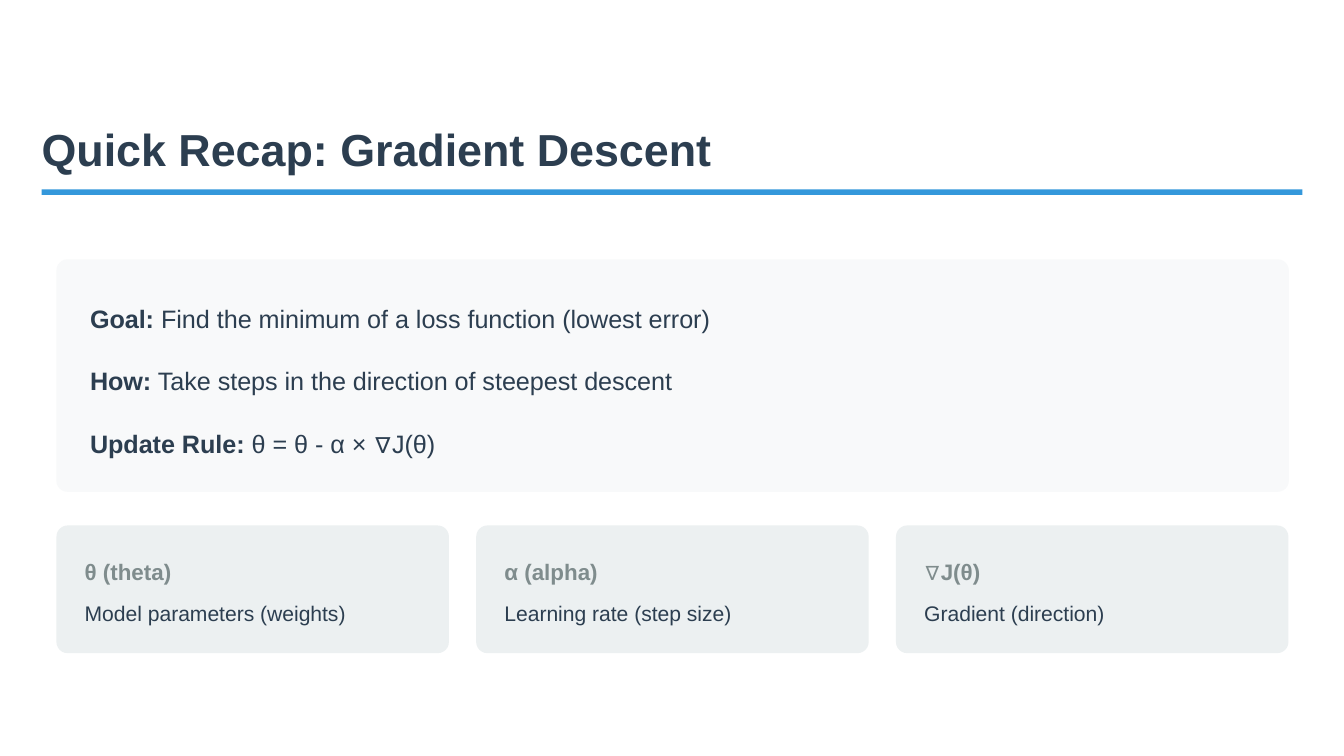
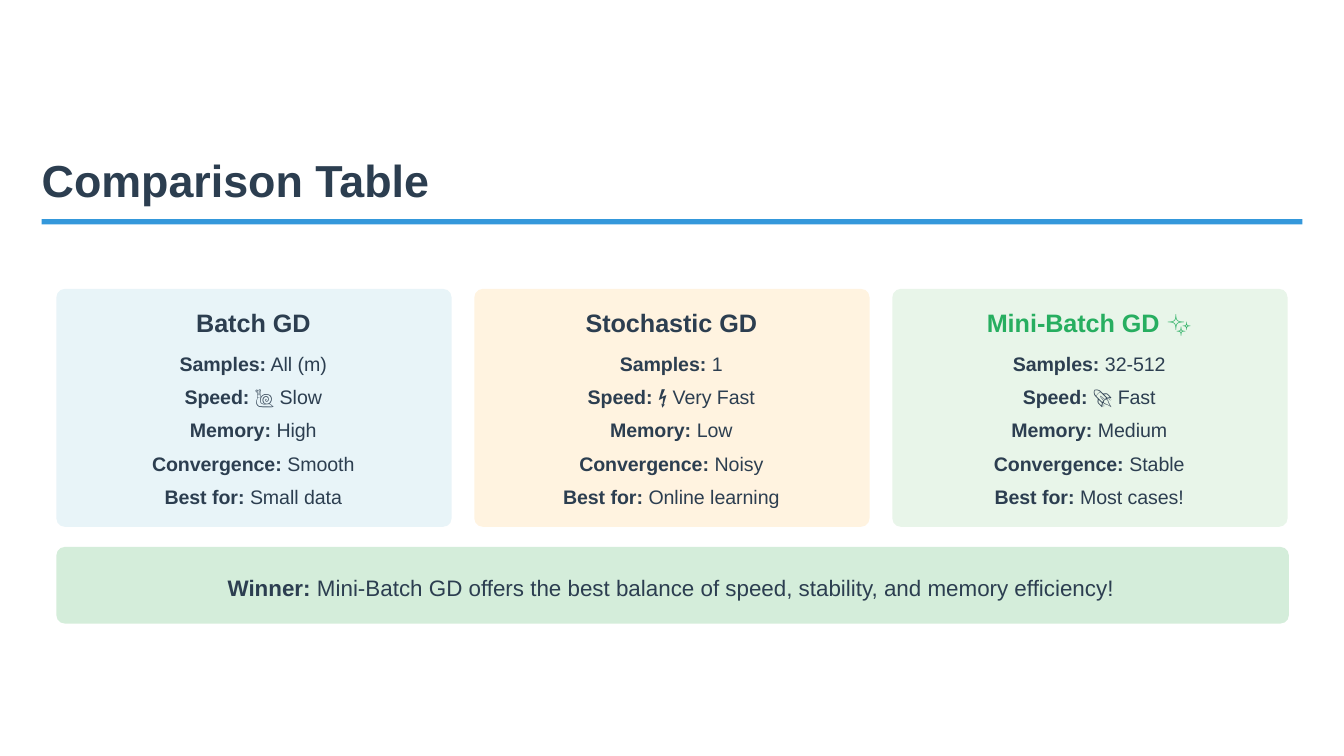
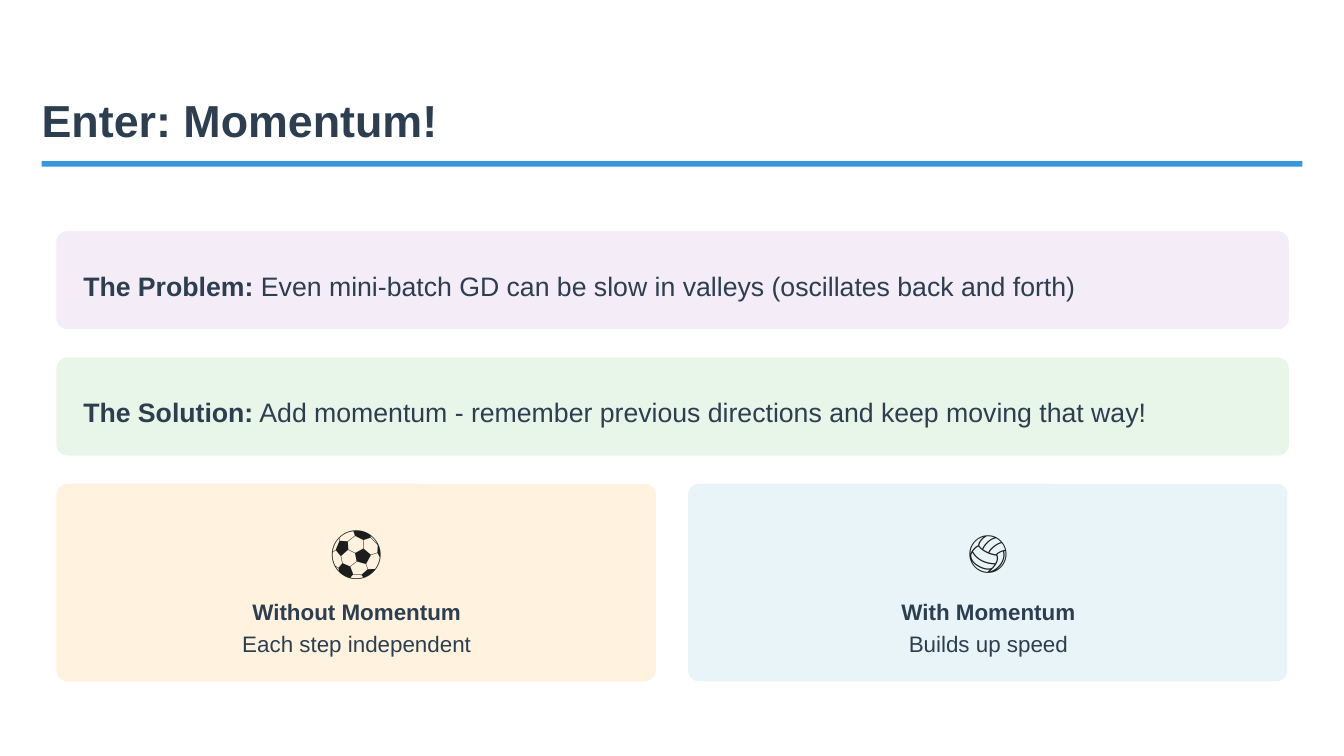
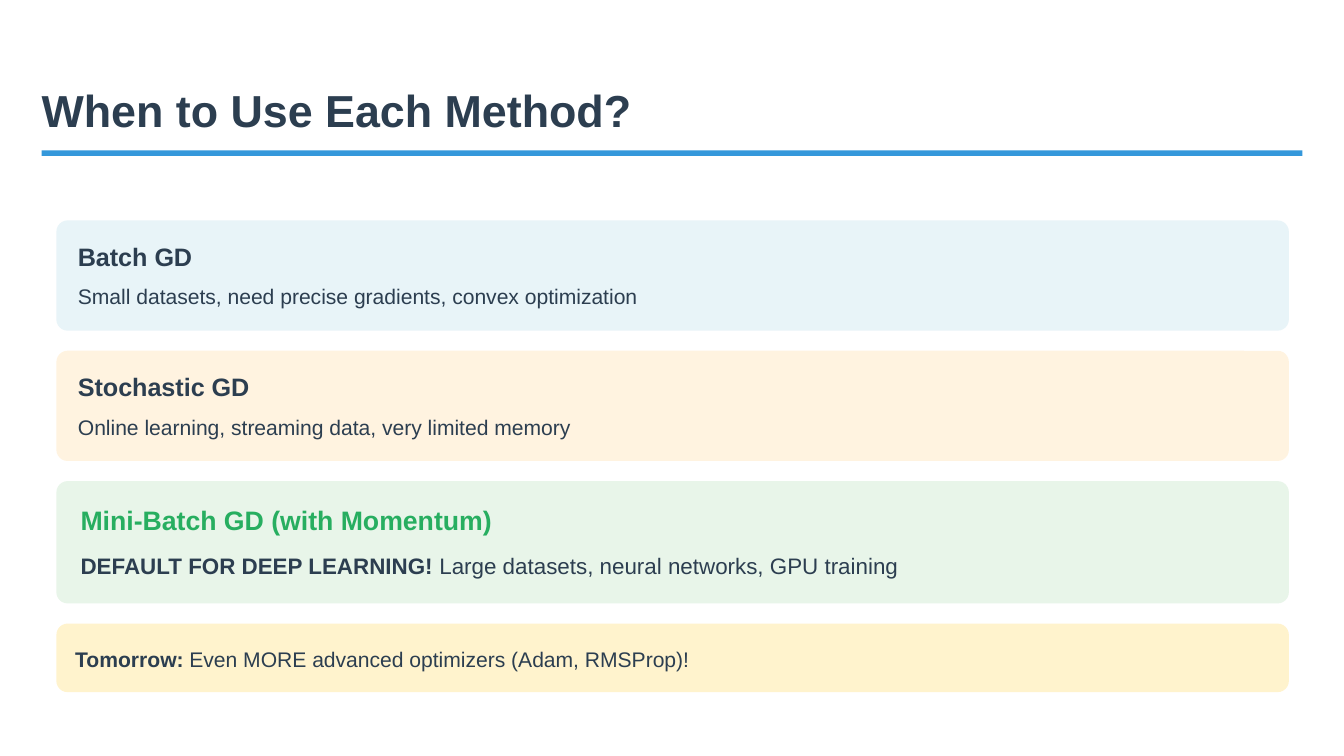
import pptx
import pptx.dml.color
import pptx.enum.shapes
import pptx.enum.text
import pptx.oxml
import pptx.util
from pptx.util import Inches, Pt

INK, GREEN, GREY, BLACK = "2C3E50", "27AE60", "7F8C8D", "1D1D1D"
RULE_BLUE = "3498DB"
PALE_BLUE, PALE_ORANGE, PALE_GREEN = "E8F4F8", "FFF3E0", "E8F5E9"
LEFT, CONTENT_WIDTH = 0.42, 9.17
ALIGN_LEFT = pptx.enum.text.PP_ALIGN.LEFT
ALIGN_CENTER = pptx.enum.text.PP_ALIGN.CENTER


def add_panel(slide, left, top, width, height, colour, radius=6):
    """Add a borderless filled panel; radius is the corner in points, 0 for square."""
    kinds = pptx.enum.shapes.MSO_SHAPE
    panel = slide.shapes.add_shape(
        kinds.ROUNDED_RECTANGLE if radius else kinds.RECTANGLE,
        Inches(left), Inches(top), Inches(width), Inches(height))
    if radius:
        panel.adjustments[0] = Pt(radius) / min(panel.width, panel.height)
    panel.shadow.inherit = False
    panel.fill.solid()
    panel.fill.fore_color.rgb = pptx.dml.color.RGBColor.from_string(colour)
    panel.line.fill.background()
    return panel


def write(shape, box, lines, alignment=ALIGN_LEFT):
    """Place a text shape and fill it.

    Each line is (bold text, regular text, size, line height, space after, colour).
    """
    shape.left, shape.top, shape.width, shape.height = map(Inches, box)
    frame = shape.text_frame
    frame.margin_left = frame.margin_top = frame.margin_right = frame.margin_bottom = 0
    frame.word_wrap = True
    frame.auto_size = pptx.enum.text.MSO_AUTO_SIZE.NONE
    frame.vertical_anchor = pptx.enum.text.MSO_ANCHOR.TOP
    for index, (strong, plain, size, height, after, colour) in enumerate(lines):
        paragraph = frame.add_paragraph() if index else frame.paragraphs[0]
        paragraph.alignment = alignment
        paragraph.line_spacing = Pt(height)
        paragraph.space_before = Pt(0)
        paragraph.space_after = Pt(after)
        for text, bold in ((strong, True), (plain, False)):
            if text:
                run = paragraph.add_run()
                run.text = text
                run.font.name = "Arial"
                run.font.size = Pt(size)
                run.font.bold = bold
                run.font.color.rgb = pptx.dml.color.RGBColor.from_string(colour)


presentation = pptx.Presentation()
presentation.slide_width = Inches(10)
presentation.slide_height = presentation.slide_width * 9 // 16
TITLE_AND_CONTENT, TITLE_ONLY = 1, 5

# Titles and the blue rule below them
slides = []
for title, top, rule_top, layout in (
    ("Quick Recap: Gradient Descent", 0.97, 1.41, TITLE_AND_CONTENT),
    ("Comparison Table", 1.2, 1.63, TITLE_ONLY),
    ("Enter: Momentum!", 0.76, 1.2, TITLE_ONLY),
    ("When to Use Each Method?", 0.68, 1.12, TITLE_ONLY),
):
    slide = presentation.slides.add_slide(presentation.slide_layouts[layout])
    write(slide.shapes.title, (0.31, top, 5.09, 0.33), [(title, "", 24, 24, 7.5, INK)])
    add_panel(slide, 0.31, rule_top, 9.38, 0.04, RULE_BLUE, radius=0)
    slides.append(slide)
recap, comparison, momentum, usage = slides

# Slide 1: recap
statement_panel = add_panel(recap, LEFT, 1.93, CONTENT_WIDTH, 1.73, "F8F9FA")
statements = recap.placeholders[1]
write(statements, (0.67, 2.18, 8.84, 1.23), [
    (label, text, 13.5, 21.6, 12, INK) for label, text in (
        ("Goal:", " Find the minimum of a loss function (lowest error)"),
        ("How:", " Take steps in the direction of steepest descent"),
        ("Update Rule:", " θ = θ - α × ∇J(θ)"),
    )
])
for paragraph in statements.text_frame.paragraphs:
    properties = paragraph._p.get_or_add_pPr()
    properties.set("marL", "0")
    properties.set("indent", "0")
    properties.append(pptx.oxml.parse_xml(
        '<a:buNone xmlns:a="http://schemas.openxmlformats.org/drawingml/2006/main"/>'))
statement_panel._element.addnext(statements._element)

symbol_pitch = (CONTENT_WIDTH + 0.2) / 3
for column, (symbol, meaning) in enumerate((
    ("θ (theta)", "Model parameters (weights)"),
    ("α (alpha)", "Learning rate (step size)"),
    ("∇J(θ)", "Gradient (direction)"),
)):
    left = LEFT + column * symbol_pitch
    add_panel(recap, left, 3.91, 2.92, 0.95, "ECF0F1")
    write(recap.shapes.add_textbox(0, 0, 0, 0), (left + 0.21, 4.12, 2.55, 0.54), [
        (symbol, "", 12, 16.8, 6, GREY),
        ("", meaning, 11.25, 15.75, 0, INK),
    ])

# Slide 2: comparison
criteria = ("Samples:", "Speed:", "Memory:", "Convergence:", "Best for:")
for column, (method, heading_colour, fill, values) in enumerate((
    ("Batch GD", INK, PALE_BLUE,
     ("All (m)", "🐌 Slow", "High", "Smooth", "Small data")),
    ("Stochastic GD", INK, PALE_ORANGE,
     ("1", "⚡ Very Fast", "Low", "Noisy", "Online learning")),
    ("Mini-Batch GD ✨", GREEN, PALE_GREEN,
     ("32-512", "🚀 Fast", "Medium", "Stable", "Most cases!")),
)):
    left = LEFT + column * 3.11
    add_panel(comparison, left, 2.15, 2.94, 1.77, fill, radius=4.5)
    lines = [(method, "", 13.5, 15, 6, heading_colour)]
    for criterion, value in zip(criteria, values):
        lines.append((criterion, " " + value, 10.5, 14.7, 3, INK))
    write(comparison.shapes.add_textbox(0, 0, 0, 0),
          (left + 0.11, 2.3, 2.71, 1.47), lines, ALIGN_CENTER)

add_panel(comparison, LEFT, 4.07, CONTENT_WIDTH, 0.57, "D4EDDA", radius=4.5)
write(comparison.shapes.add_textbox(0, 0, 0, 0), (0.49, 4.24, 9.01, 0.23), [
    ("Winner:", " Mini-Batch GD offers the best balance of speed, stability, "
     "and memory efficiency!", 12, 16.8, 0, INK),
], ALIGN_CENTER)

# Slide 3: momentum
for row, (label, text, fill) in enumerate((
    ("The Problem:", " Even mini-batch GD can be slow in valleys "
     "(oscillates back and forth)", "F4ECF7"),
    ("The Solution:", " Add momentum - remember previous directions "
     "and keep moving that way!", PALE_GREEN),
)):
    top = 1.72 + row * 0.94
    add_panel(momentum, LEFT, top, CONTENT_WIDTH, 0.73, fill)
    write(momentum.shapes.add_textbox(0, 0, 0, 0), (0.62, top + 0.21, 8.93, 0.32),
          [(label, text, 14.25, 22.8, 0, INK)])

for left, ball, heading, effect, fill in (
    (LEFT, "⚽", "Without Momentum", "Each step independent", PALE_ORANGE),
    (5.12, "🏐", "With Momentum", "Builds up speed", PALE_BLUE),
):
    add_panel(momentum, left, 3.6, 4.46, 1.47, fill)
    write(momentum.shapes.add_textbox(0, 0, 0, 0), (left + 0.15, 3.79, 4.17, 1.1), [
        ("", ball, 27, 37.8, 7.5, BLACK),
        (heading, "", 12, 16.8, 0, INK),
        ("", effect, 12, 16.8, 0, INK),
    ], ALIGN_CENTER)

# Slide 4: when to use each method
for top, height, fill, inset_left, inset_top, lines in (
    (1.64, 0.82, PALE_BLUE, 0.16, 0.17, [
        ("Batch GD", "", 13.5, 15, 4.5, INK),
        ("", "Small datasets, need precise gradients, convex optimization",
         11.25, 15.75, 0, INK)]),
    (2.61, 0.82, PALE_ORANGE, 0.16, 0.17, [
        ("Stochastic GD", "", 13.5, 15, 4.5, INK),
        ("", "Online learning, streaming data, very limited memory",
         11.25, 15.75, 0, INK)]),
    (3.58, 0.91, PALE_GREEN, 0.18, 0.19, [
        ("Mini-Batch GD (with Momentum)", "", 14.25, 15.75, 6, GREEN),
        ("DEFAULT FOR DEEP LEARNING!", " Large datasets, neural networks, GPU training",
         12, 16.8, 0, INK)]),
    (4.64, 0.51, "FFF3CD", 0.14, 0.14, [
        ("Tomorrow:", " Even MORE advanced optimizers (Adam, RMSProp)!",
         11.25, 15.75, 0, INK)]),
):
    add_panel(usage, LEFT, top, CONTENT_WIDTH, height, fill)
    write(usage.shapes.add_textbox(0, 0, 0, 0),
          (LEFT + inset_left, top + inset_top, 9, height - 2 * inset_top), lines)

presentation.save("out.pptx")
